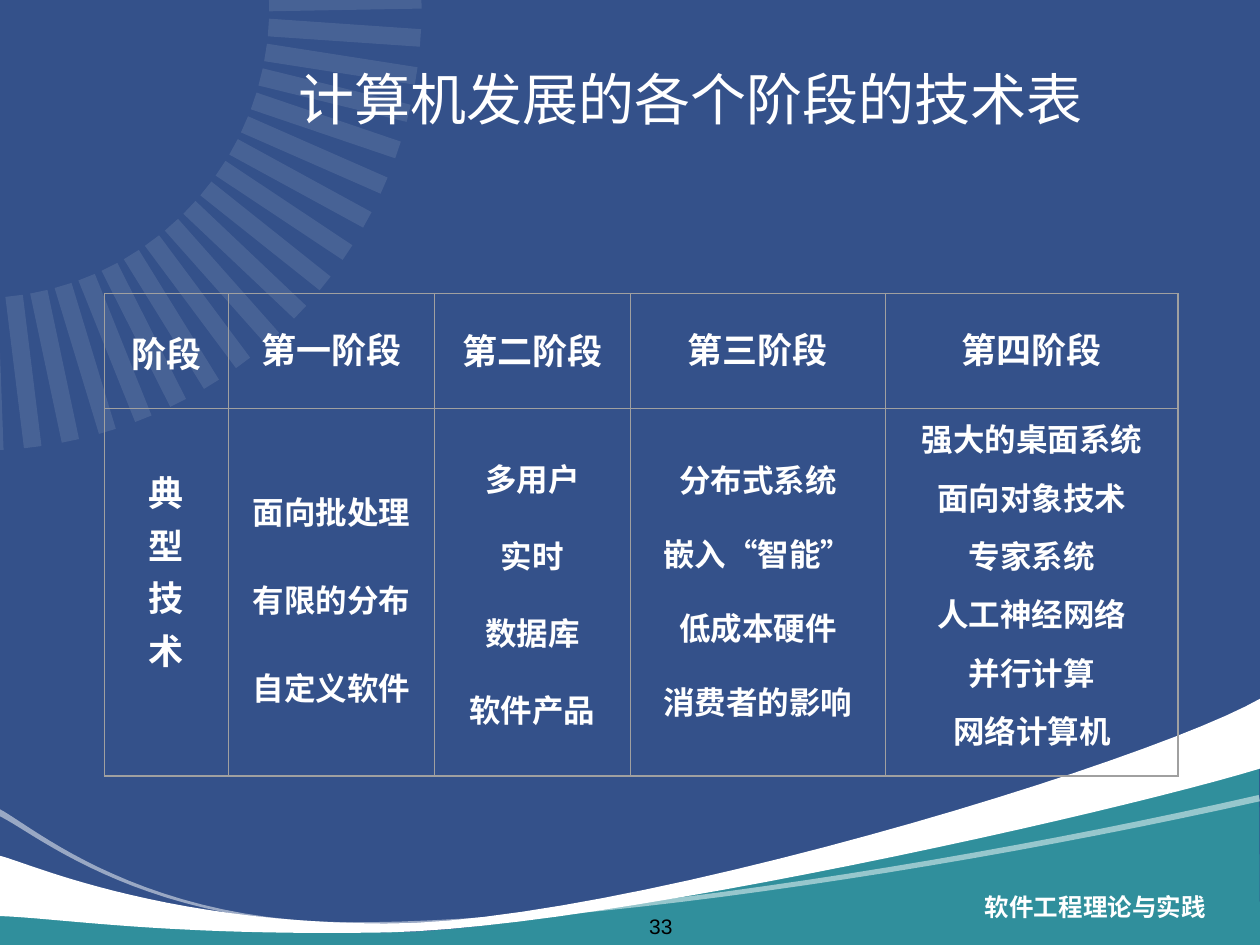
from itertools import groupby
from math import cos, radians, sin
from lxml.etree import SubElement
from pptx import Presentation
from pptx.dml.color import RGBColor
from pptx.enum.text import MSO_ANCHOR, MSO_AUTO_SIZE, PP_ALIGN
from pptx.oxml import parse_xml
from pptx.oxml.ns import nsdecls, qn
from pptx.util import Inches, Pt

TITLE = "计算机发展的各个阶段的技术表"
FOOTER = "软件工程理论与实践"
PAGE = "33"
HEADERS = ["阶段", "第一阶段", "第二阶段", "第三阶段", "第四阶段"]
TECHNIQUES = [
    ["典", "型", "技", "术"],
    ["面向批处理", "有限的分布", "自定义软件"],
    ["多用户", "实时", "数据库", "软件产品"],
    ["分布式系统", "嵌入“智能”", "低成本硬件", "消费者的影响"],
    ["强大的桌面系统", "面向对象技术", "专家系统", "人工神经网络", "并行计算", "网络计算机"],
]
COL_EDGES = [0.83, 1.81, 3.45, 5, 7.03, 9.35]
ROW_EDGES = [2.33, 3.24, 6.16]
HEADER_TOPS = [22, 19.5, 20.5, 19.5, 19.5]
BODY_TOPS = [36, 45.5, 27, 27.5, 4]
BODY_GAPS = [4, 24.5, 18, 16.3, 7.4]

THEME = dict(
    bg="34518A", teal="308F9C", white="FFFFFF", ray="F8F8F8", grid="A0A0A0", black="000000",
    title=32, head=20, body=18, footer=14, page=12, line=26,
    latin="Arial", sc="Noto Sans CJK SC", jp="Noto Sans CJK JP",
)

WAVES = [
    ("teal", 100, [
        (-0.01, 7.5), (10, 7.53), (9.99, 5.6), (9.12, 6.12, 4.88, 7.41, 3.05, 7.4),
        (1.21, 7.39, 0.19, 6.9, -0.02, 6.85), (-0.02, 7.35)]),
    ("white", 100, [
        (0, 7.27), (0.51, 7.29, 1.33, 7.43, 3.08, 7.4), (4.82, 7.36, 8.85, 6.45, 10, 6.1),
        (10.01, 5.54), (9.13, 6.05, 4.89, 7.34, 3.05, 7.33),
        (1.22, 7.32, 0.19, 6.83, -0.01, 6.79), (-0.01, 7.29)]),
    ("white", 50, [
        (-0.03, 6.41), (0.17, 6.48, 1.02, 7.3, 2.72, 7.32), (4.42, 7.34, 7.55, 6.87, 9.99, 6.31),
        (10, 6.36), (7.5, 6.92, 4.4, 7.38, 2.72, 7.34), (1.05, 7.31, 0.24, 6.58, -0.02, 6.47)]),
]
RAYS = dict(count=19, center=(-0.17, 0.06), middle=2.91, length=1.21, width=0.14,
            start=-1, step=4.94, turn=168.9)


def color(name):
    return RGBColor.from_string(THEME[name])


def flatten(steps, n=24):
    pts = [steps[0]]
    for step in steps[1:]:
        if len(step) == 2:
            pts.append(step)
            continue
        p0, p1, p2, p3 = pts[-1], step[:2], step[2:4], step[4:]
        for t in (i / n for i in range(1, n + 1)):
            u = 1 - t
            pts.append(tuple(u**3 * a + 3 * u * u * t * b + 3 * u * t * t * c + t**3 * d
                             for a, b, c, d in zip(p0, p1, p2, p3)))
    return pts


def add_outline(shapes, pts, fill, opacity, turn=0):
    pts = [(Inches(x), Inches(y)) for x, y in pts]
    builder = shapes.build_freeform(*pts[0])
    builder.add_line_segments(pts[1:], close=True)
    sp = builder.convert_to_shape()
    sp.rotation = turn
    sp.shadow.inherit = False
    sp.fill.solid()
    sp.fill.fore_color.rgb = color(fill)
    sp.line.fill.background()
    if opacity < 100:
        clr = sp.fill._xPr.find(qn("a:solidFill"))[0]
        SubElement(clr, qn("a:alpha"), val=str(opacity * 1000))


def ray_points(i):
    angle = RAYS["start"] + RAYS["step"] * i
    a, b = radians(angle), radians(angle - RAYS["turn"])
    x = RAYS["center"][0] + RAYS["middle"] * cos(a)
    y = RAYS["center"][1] + RAYS["middle"] * sin(a)
    d, w = RAYS["length"] / 2, RAYS["width"] / 2
    corners = [(-d, -w), (d, -w), (d, w), (-d, w)]
    return [(x + u * cos(b) - v * sin(b), y + u * sin(b) + v * cos(b)) for u, v in corners]


def write(tf, lines, size, fill="white", latin="jp", ea="jp", bold=False,
          align=PP_ALIGN.CENTER, line=None, gap=None):
    tf.word_wrap = True
    for i, text in enumerate(lines):
        p = tf.paragraphs[0] if i == 0 else tf.add_paragraph()
        p.alignment = align
        if line:
            p.line_spacing = Pt(line)
        if gap:
            p.space_after = Pt(gap)
        for quoted, chars in groupby(text, lambda ch: ch in "“”"):
            r = p.add_run()
            r.text = "".join(chars)
            r.font.size, r.font.bold = Pt(size), bold
            r.font.color.rgb = color(fill)
            r.font.name = THEME["latin" if quoted else latin]
            SubElement(r._r.get_or_add_rPr(), qn("a:ea"), typeface=THEME[ea])


def set_borders(cell, widths):
    tcPr = cell._tc.get_or_add_tcPr()
    for i, (side, width) in enumerate(zip("LRTB", widths)):
        tcPr.insert(i, parse_xml(
            f'<a:ln{side} {nsdecls("a")} w="{Pt(width)}"><a:solidFill>'
            f'<a:srgbClr val="{THEME["grid"]}"/></a:solidFill></a:ln{side}>'))


def add_stage_table(shapes):
    box = (COL_EDGES[0], ROW_EDGES[0], COL_EDGES[-1] - COL_EDGES[0], ROW_EDGES[-1] - ROW_EDGES[0])
    table = shapes.add_table(2, len(HEADERS), *map(Inches, box)).table
    table.first_row = table.horz_banding = False
    for tracks, edges, attr in ((table.columns, COL_EDGES, "width"), (table.rows, ROW_EDGES, "height")):
        for track, a, b in zip(tracks, edges, edges[1:]):
            setattr(track, attr, Inches(b - a))
    last = len(HEADERS) - 1
    for c, header in enumerate(HEADERS):
        body_size = THEME["head" if c == 0 else "body"]
        column = [([header], THEME["head"], HEADER_TOPS[c], None),
                  (TECHNIQUES[c], body_size, BODY_TOPS[c], BODY_GAPS[c])]
        for row, (lines, size, top, gap) in enumerate(column):
            cell = table.cell(row, c)
            cell.fill.background()
            cell.margin_left = cell.margin_right = cell.margin_bottom = 0
            cell.margin_top = Pt(top)
            cell.vertical_anchor = MSO_ANCHOR.TOP
            write(cell.text_frame, lines, size, bold=True, line=THEME["line"], gap=gap)
            outer = (c == 0, c == last, row == 0, row == 1)
            set_borders(cell, [1 if edge else 0.5 for edge in outer])


def add_label(shapes, box, text, **fmt):
    tf = shapes.add_textbox(*map(Inches, box)).text_frame
    tf.vertical_anchor = MSO_ANCHOR.BOTTOM
    write(tf, [text], latin="latin", ea="sc", **fmt)


def main():
    prs = Presentation()
    prs.slide_width, prs.slide_height = Inches(10), Inches(7.5)
    slide = prs.slides.add_slide(prs.slide_layouts[5])
    shapes = slide.shapes
    slide.background.fill.solid()
    slide.background.fill.fore_color.rgb = color("bg")

    for fill, opacity, steps in WAVES:
        add_outline(shapes, flatten(steps), fill, opacity)
    for i in range(RAYS["count"]):
        add_outline(shapes, ray_points(i), "ray", 10, RAYS["turn"])

    add_label(shapes, (6.5, 7.06, 3.17, 0.3), FOOTER, size=THEME["footer"], bold=True,
              align=PP_ALIGN.RIGHT)

    title = shapes.title
    title.left, title.top, title.width, title.height = map(Inches, (1.93, 0.25, 7.24, 0.97))
    tf = title.text_frame
    tf.auto_size = MSO_AUTO_SIZE.NONE
    tf.vertical_anchor = MSO_ANCHOR.MIDDLE
    tf.margin_top, tf.margin_right = Inches(0.13), Inches(0.23)
    write(tf, [TITLE], THEME["title"], latin="sc", ea="sc")
    shapes._spTree.append(title._element)

    add_stage_table(shapes)
    add_label(shapes, (4.08, 7.2, 2.33, 0.3), PAGE, size=THEME["page"], fill="black")
    prs.save("out.pptx")


if __name__ == "__main__":
    main()
